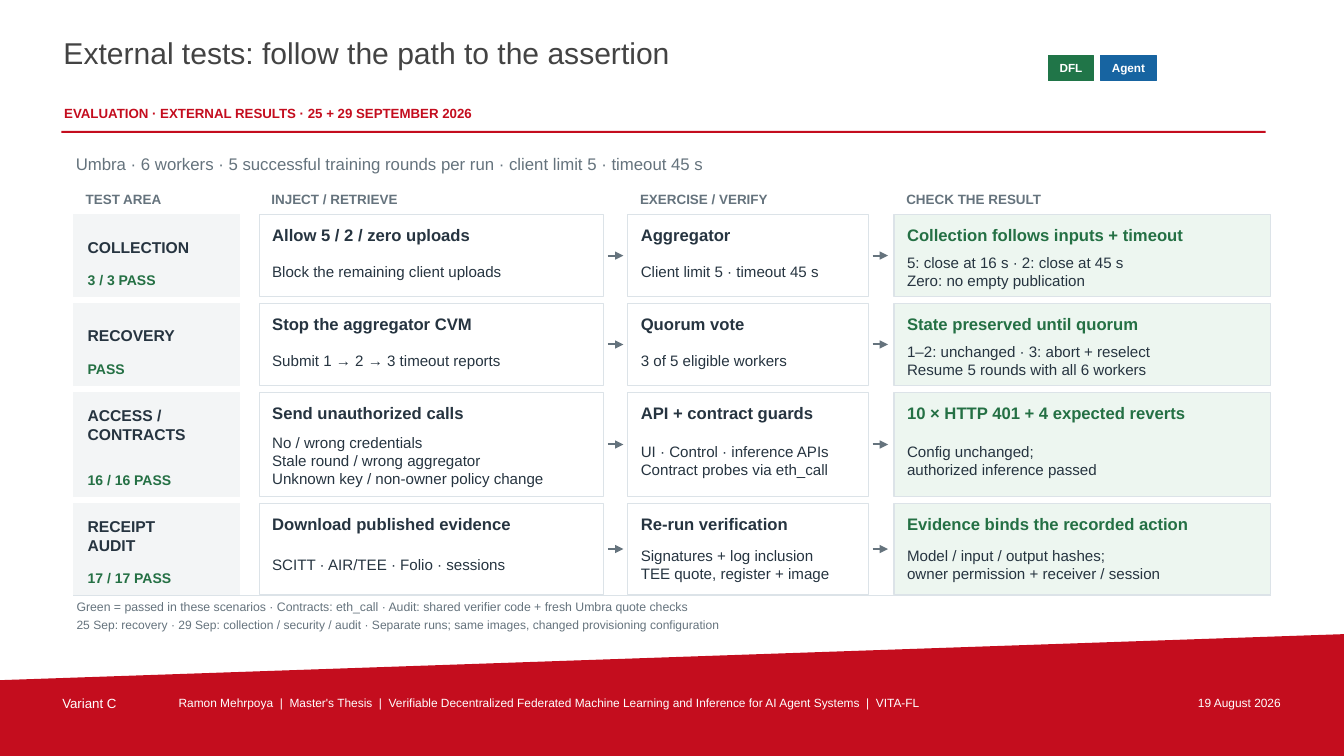
from lxml import etree
from pptx import Presentation
from pptx import util as u
from pptx.dml.color import RGBColor
from pptx.enum import shapes, text
from pptx.oxml import ns

COLORS = {
    "red": "C40D1E", "title": "434343", "white": "FFFFFF", "grey": "65737D",
    "ink": "263440", "pass": "247044", "pass_bg": "EDF6F0", "area_bg": "F3F5F6",
    "border": "DCE3E8", "dfl": "207548", "agent": "1764A1",
}
ALIGN = text.PP_ALIGN
ANCHOR = text.MSO_ANCHOR

deck = Presentation()
deck.slide_width, deck.slide_height = u.Cm(33.87), u.Cm(19.05)
slide = deck.slides.add_slide(deck.slide_layouts[5])


def write(words, left, top, width, height, *, size, color, bold=False, align=ALIGN.LEFT,
          anchor=ANCHOR.MIDDLE, inset=0, holder=None):
    """Put one paragraph per line of words into holder, or into a new text box."""
    box = [u.Cm(length) for length in (left, top, width, height)]
    if holder is None:
        holder = slide.shapes.add_textbox(*box)
    holder.left, holder.top, holder.width, holder.height = box
    frame = holder.text_frame
    frame.word_wrap = True
    frame.auto_size = text.MSO_AUTO_SIZE.NONE
    frame.vertical_anchor = anchor
    frame.margin_left = frame.margin_right = u.Cm(inset)
    frame.margin_top = frame.margin_bottom = u.Cm(inset)
    frame.text = words
    for paragraph in frame.paragraphs:
        paragraph.alignment = align
        for run in paragraph.runs:
            run.font.name, run.font.size, run.font.bold = "Arial", u.Pt(size), bold
            run.font.color.rgb = RGBColor.from_string(COLORS[color])


def panel(left, top, width, height, fill, border=None):
    rect = slide.shapes.add_shape(shapes.MSO_SHAPE.RECTANGLE, u.Cm(left), u.Cm(top),
                                  u.Cm(width), u.Cm(height))
    rect.shadow.inherit = False
    rect.fill.solid()
    rect.fill.fore_color.rgb = RGBColor.from_string(COLORS[fill])
    if border:
        rect.line.color.rgb = RGBColor.from_string(COLORS[border])
        rect.line.width = u.Pt(0.8)
    else:
        rect.line.fill.background()
    return rect


# Footer band
outline = slide.shapes.build_freeform(0, u.Cm(17.14))
outline.add_line_segments([(u.Cm(33.87), u.Cm(15.98)), (u.Cm(33.87), u.Cm(19.05)),
                           (0, u.Cm(19.05))])
band = outline.convert_to_shape()
band.shadow.inherit = False
band.fill.solid()
band.fill.fore_color.rgb = RGBColor.from_string(COLORS["red"])
band.line.fill.background()

footer = [
    ("Variant C", 1.52, 2.79, 9.5, ALIGN.LEFT),
    ("Ramon Mehrpoya  |  Master's Thesis  |  Verifiable Decentralized Federated Machine "
     "Learning and Inference for AI Agent Systems  |  VITA-FL", 4.45, 23.75, 8.5, ALIGN.LEFT),
    ("19 August 2026", 28.45, 3.88, 8.5, ALIGN.RIGHT),
]
for words, left, width, size, align in footer:
    write(words, left, 17.48, width, 0.56, size=size, color="white", align=align,
          anchor=ANCHOR.TOP, inset=0.05)

# Heading
write("External tests: follow the path to the assertion", 1.55, 0.81, 24.5, 1.57, size=21.5,
      color="title", anchor=ANCHOR.TOP, inset=0.05, holder=slide.shapes.title)
write("EVALUATION · EXTERNAL RESULTS · 25 + 29 SEPTEMBER 2026", 1.57, 2.59, 24.64, 0.56,
      size=9.5, color="red", bold=True, anchor=ANCHOR.TOP, inset=0.05)
panel(1.55, 3.3, 30.35, 0.05, "red")
for tag, left, width, fill in [("DFL", 26.42, 1.14, "dfl"), ("Agent", 27.74, 1.4, "agent")]:
    write(tag, left, 1.4, width, 0.64, size=8.4, color="white", bold=True,
          align=ALIGN.CENTER, holder=panel(left, 1.4, width, 0.64, fill, fill))
write("Umbra · 6 workers · 5 successful training rounds per run · client limit 5 · timeout 45 s",
      1.91, 3.78, 30.07, 0.71, size=12, color="grey")

# Test matrix
columns = [  # header, left, width
    ("TEST AREA", 1.85, 4.19),
    ("INJECT / RETRIEVE", 6.53, 8.69),
    ("EXERCISE / VERIFY", 15.82, 6.07),
    ("CHECK THE RESULT", 22.53, 9.5),
]
tests = [  # row height, area, score, then heading and detail of each step
    (2.06, "COLLECTION", "3 / 3 PASS", [
        ("Allow 5 / 2 / zero uploads", "Block the remaining client uploads"),
        ("Aggregator", "Client limit 5 · timeout 45 s"),
        ("Collection follows inputs + timeout",
         "5: close at 16 s · 2: close at 45 s\nZero: no empty publication")]),
    (2.06, "RECOVERY", "PASS", [
        ("Stop the aggregator CVM", "Submit 1 → 2 → 3 timeout reports"),
        ("Quorum vote", "3 of 5 eligible workers"),
        ("State preserved until quorum",
         "1–2: unchanged · 3: abort + reselect\nResume 5 rounds with all 6 workers")]),
    (2.62, "ACCESS /\nCONTRACTS", "16 / 16 PASS", [
        ("Send unauthorized calls", "No / wrong credentials\nStale round / wrong aggregator\n"
         "Unknown key / non-owner policy change"),
        ("API + contract guards", "UI · Control · inference APIs\nContract probes via eth_call"),
        ("10 × HTTP 401 + 4 expected reverts",
         "Config unchanged;\nauthorized inference passed")]),
    (2.29, "RECEIPT\nAUDIT", "17 / 17 PASS", [
        ("Download published evidence", "SCITT · AIR/TEE · Folio · sessions"),
        ("Re-run verification", "Signatures + log inclusion\nTEE quote, register + image"),
        ("Evidence binds the recorded action",
         "Model / input / output hashes;\nowner permission + receiver / session")]),
]
ROW_GAP = 0.18
PAD = 0.33
rules = []  # x1, y1, x2, y2, color, width, has arrowhead

for header, left, width in columns:
    write(header, left + 0.31, 4.75, width - 0.4, 0.56, size=9.6, color="grey", bold=True)

top = 5.41
for height, area, score, steps in tests:
    _, area_left, area_width = columns[0]
    panel(area_left, top, area_width, height, "area_bg", "area_bg")
    write(area, area_left + 0.36, top + 0.25, 3.53, 1.12, size=11.2, color="ink", bold=True)
    write(score, area_left + 0.36, top + height - 0.69, 3.53, 0.53, size=10, color="pass",
          bold=True)
    for (header, left, width), (heading, detail) in zip(columns[1:], steps):
        is_result = header == "CHECK THE RESULT"
        panel(left, top, width, height, "pass_bg" if is_result else "white", "border")
        write(heading, left + PAD, top + 0.23, width - 2 * PAD, 0.58, size=11.9,
              color="pass" if is_result else "ink", bold=True)
        write(detail, left + PAD, top + 0.91, width - 2 * PAD, height - 1.02, size=10.8,
              color="ink")
        if not is_result:
            middle, edge = top + height / 2, left + width
            rules.append((edge + 0.1, middle, edge + 0.49, middle, "grey", 1.4, True))
    top += height + ROW_GAP

rules.append((1.85, 15.01, 32.03, 15.01, "border", 0.7, False))
for x1, y1, x2, y2, color, weight, has_head in rules:
    rule = slide.shapes.add_connector(shapes.MSO_CONNECTOR.STRAIGHT,
                                      u.Cm(x1), u.Cm(y1), u.Cm(x2), u.Cm(y2))
    rule.line.color.rgb = RGBColor.from_string(COLORS[color])
    rule.line.width = u.Pt(weight)
    if has_head:
        etree.SubElement(rule.line._get_or_add_ln(), ns.qn("a:tailEnd"), type="triangle")
    etree.SubElement(rule._element.spPr, ns.qn("a:effectLst"))

# Notes under the matrix
write("Green = passed in these scenarios · Contracts: eth_call · Audit: shared verifier code "
      "+ fresh Umbra quote checks", 1.93, 15.06, 30, 0.46, size=8.8, color="grey")
write("25 Sep: recovery · 29 Sep: collection / security / audit · Separate runs; same images, "
      "changed provisioning configuration", 1.93, 15.52, 30, 0.43, size=8.6, color="grey")

deck.save("out.pptx")
